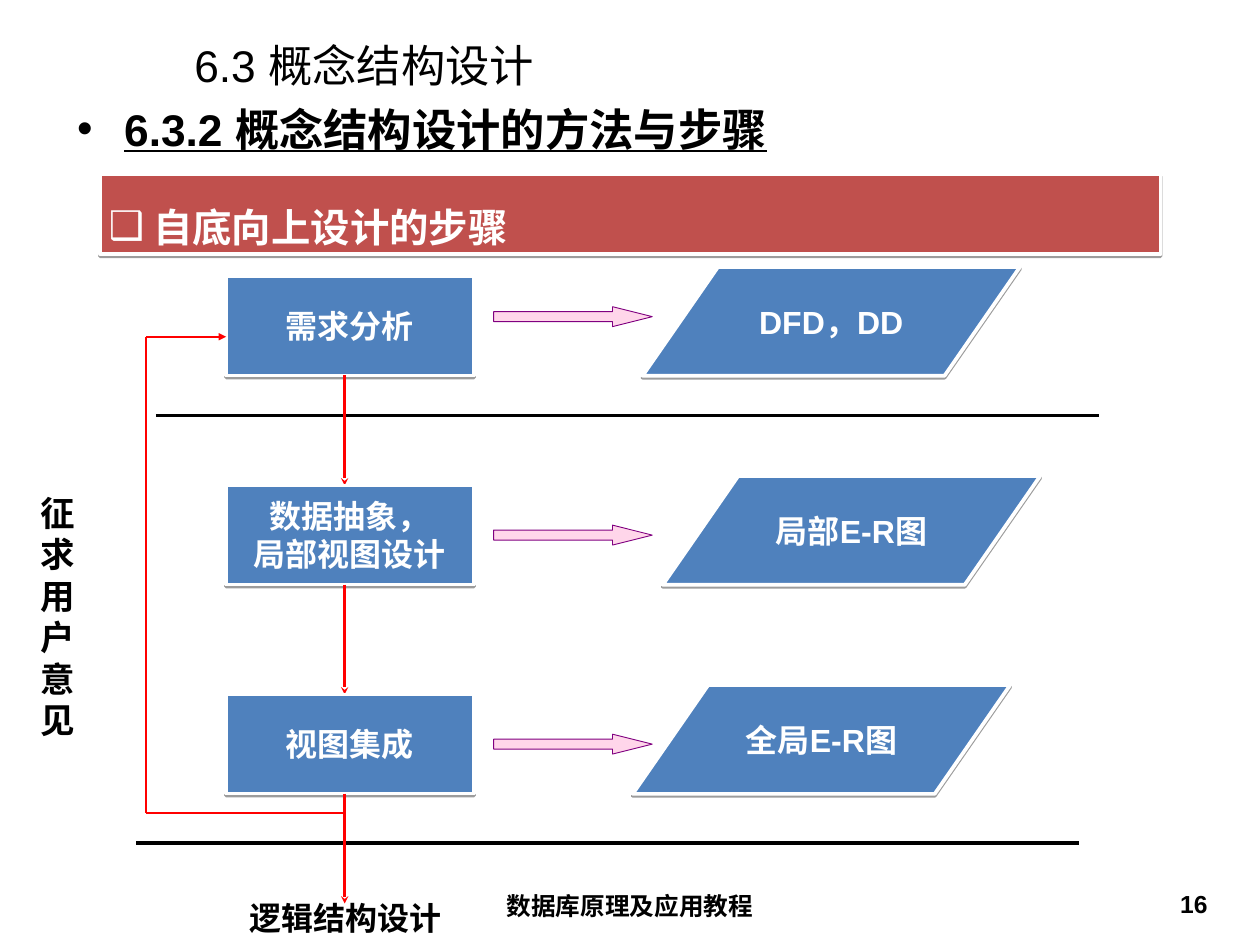
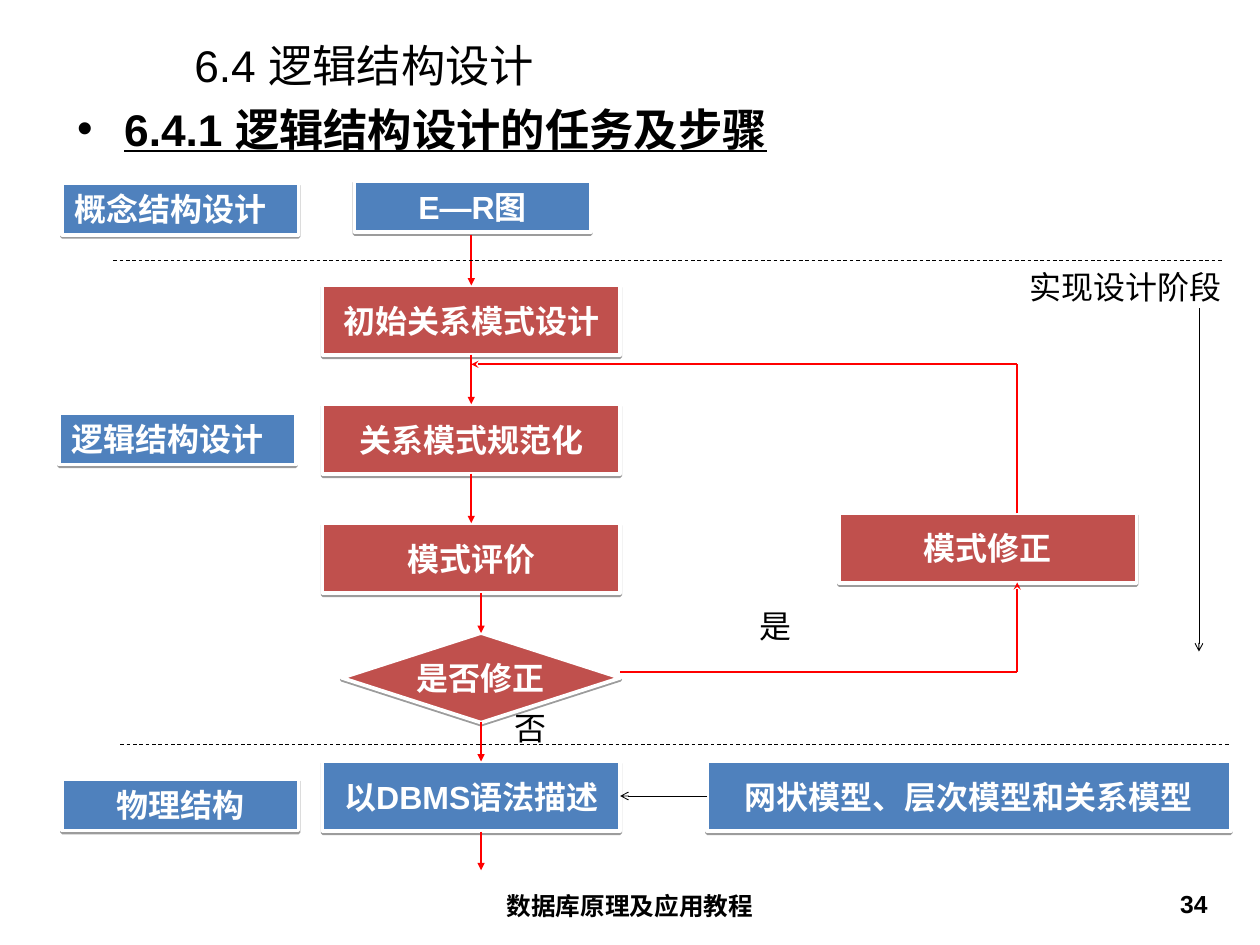
from dataclasses import dataclass

from lxml import etree
from pptx import Presentation
from pptx import util as u
from pptx.dml.color import RGBColor
from pptx.enum import dml, shapes, text
from pptx.oxml import ns

Cm, Pt = u.Cm, u.Pt
KIND = shapes.MSO_SHAPE
LEFT, MID, RIGHT = text.PP_ALIGN.LEFT, text.PP_ALIGN.CENTER, text.PP_ALIGN.RIGHT
TOP, CORE = text.MSO_ANCHOR.TOP, text.MSO_ANCHOR.MIDDLE


@dataclass(frozen=True)
class Theme:
    font: str = "Arial"
    ink: str = "000000"
    paper: str = "FFFFFF"
    blue: str = "4F81BD"
    brick: str = "C0504D"
    red: str = "FF0000"
    pink: str = "FF99CC"
    plum: str = "800080"
    head: int = 36
    band: int = 32
    side: int = 28
    node: int = 26
    foot: int = 20


T = Theme()
WIDE, TIGHT = (0.36, 0.18), (0.25, 0.13)

# Shared places, in centimetres: left, top, width, height
SIZE = (36.12, 27.08)
HEAD = (5.21, 1.14, 30.05, 1.45)
BODY = (1.85, 2.74, 32.51, 2.26)
FOOT = (12.34, 25.35, 11.43, 1.4)
PAGE = (26.44, 25.35, 8.43, 1.4)
BOOK = "数据库原理及应用教程"

# Slide 1: each step with its result, result left, arrow drop
STEPS = [
    ("需求分析", "DFD，DD", 18.42, 0.87),
    ("数据抽象，\n局部视图设计", "局部E-R图", 19.0, 1.14),
    ("视图集成", "全局E-R图", 18.14, 1.14),
]
RULES = [(3.91, 24.16), (4.47, 11.91)]

# Slide 2: the main column, with row number
FLOW = [
    ("初始关系模式设计", 0, T.brick),
    ("关系模式规范化", 1, T.brick),
    ("模式评价", 2, T.brick),
    ("以DBMS语法描述", 4, T.blue),
]
TAGS = [
    ("E—R图", 10.16, 5.18, MID),
    ("概念结构设计", 1.78, 5.26, LEFT),
    ("逻辑结构设计", 1.7, 11.84, LEFT),
    ("物理结构", 1.78, 22.33, MID),
]
NOTES = [("是", 21.41, 17.2), ("否", 14.38, 20.12)]


def rgb(code):
    return RGBColor.from_string(code)


def sub(node, tag, **attrs):
    return etree.SubElement(node, ns.qn(tag), attrs)


def put(obj, **values):
    for name, value in values.items():
        setattr(obj, name, value)


def write(shape, words, size, color=T.ink, bold=True, line=False, align=LEFT,
          anchor=TOP, pad=WIDE, wrap=True, grow=False, mark=None, space=1.0):
    """Fill a shape with formatted paragraphs; mark is (bullet, indent)."""
    frame = shape.text_frame
    frame.text = words
    fit = text.MSO_AUTO_SIZE
    put(frame, word_wrap=wrap, vertical_anchor=anchor,
        auto_size=fit.SHAPE_TO_FIT_TEXT if grow else fit.NONE,
        margin_left=Cm(pad[0]), margin_right=Cm(pad[0]),
        margin_top=Cm(pad[1]), margin_bottom=Cm(pad[1]))
    for para in frame.paragraphs:
        put(para, alignment=align, line_spacing=space, space_before=Pt(0))
        if mark:
            props = para._p.get_or_add_pPr()
            props.set("marL", str(Cm(mark[1])))
            props.set("indent", str(-Cm(mark[1])))
            sub(props, "a:buFont", typeface=T.font)
            sub(props, "a:buChar", char=mark[0])
        for run in para.runs:
            put(run.font, size=Pt(size), bold=bold, underline=line, name=T.font)
            run.font.color.rgb = rgb(color)
            sub(run._r.get_or_add_rPr(), "a:ea", typeface=T.font)


def label(slide, words, place, size, **style):
    box = slide.shapes.add_textbox(*map(Cm, place))
    write(box, words, size, **style)


def form(slide, kind, place, fill, edge, width):
    shape = slide.shapes.add_shape(kind, *map(Cm, place))
    shape.shadow.inherit = False
    shape.fill.solid()
    shape.fill.fore_color.rgb = rgb(fill)
    shape.line.color.rgb = rgb(edge)
    shape.line.width = Pt(width)
    return shape


def node(slide, words, place, fill=T.blue, kind=KIND.FLOWCHART_PROCESS,
         size=T.node, **style):
    """A white-edged box with a thin shadow below it."""
    shape = form(slide, kind, place, fill, T.paper, 3)
    cast = sub(shape._element.spPr.find(ns.qn("a:effectLst")), "a:outerShdw",
               blurRad="0", dist=str(Pt(1.6)), dir="5400000", rotWithShape="0")
    sub(sub(cast, "a:srgbClr", val=T.ink), "a:alpha", val="38000")
    base = dict(color=T.paper, align=MID, anchor=CORE, wrap=False)
    write(shape, words, size, **{**base, **style})


def link(slide, start, end, color=T.red, width=2, tip=None, dash=False):
    line = slide.shapes.add_connector(
        shapes.MSO_CONNECTOR.STRAIGHT, *map(Cm, start + end))
    line.line.color.rgb = rgb(color)
    line.line.width = Pt(width)
    if dash:
        line.line.dash_style = dml.MSO_LINE.DASH
    if tip:
        sub(line.line._get_or_add_ln(), "a:tailEnd", type=tip)
    sub(line._element.spPr, "a:effectLst")


def start(deck, title, topic, page):
    """Add a slide with the shared heading, topic line and footer."""
    slide = deck.slides.add_slide(deck.slide_layouts[1])
    head, body = slide.placeholders
    for shape, place in ((head, HEAD), (body, BODY)):
        put(shape, **dict(zip(("left", "top", "width", "height"), map(Cm, place))))
    write(head, title, T.head, bold=False, anchor=CORE)
    write(body, topic, T.head, line=True, mark=("•", 1.35))
    label(slide, BOOK, FOOT, T.foot, align=MID)
    label(slide, page, PAGE, T.foot, align=RIGHT, pad=TIGHT)
    return slide


def concept(deck):
    slide = start(deck, "6.3 概念结构设计", "6.3.2 概念结构设计的方法与步骤", "16")
    node(slide, "自底向上设计的步骤", (2.87, 5.0, 30.4, 2.29), T.brick, KIND.RECTANGLE,
         T.band, align=LEFT, anchor=TOP, pad=TIGHT, wrap=True,
         mark=("❑", 1.27), space=1.5)
    for left, y in RULES:
        link(slide, (left, y), (left + 27.03, y), T.ink, 3)

    # Steps, results and the arrows between them
    top, pitch, tall, axis = 7.92, 5.99, 2.84, 9.88
    for row, (step, result, left, drop) in enumerate(STEPS):
        y = top + row * pitch
        node(slide, step, (6.48, y, 7.11, tall))
        node(slide, result, (left, y - 0.27, 10.82, 3.12), kind=KIND.FLOWCHART_DATA)
        arrow = form(slide, KIND.RIGHT_ARROW, (14.15, y + drop, 4.55, 0.57),
                     T.pink, T.plum, 0.75)
        arrow.adjustments[1] = 2
        tint = arrow._element.spPr.find(ns.qn("a:solidFill"))[0]
        sub(tint, "a:alpha", val="40000")
        link(slide, (axis, y + tall), (axis, y + pitch), tip="stealth")

    # Feedback to the first step
    turn = [(axis, 23.29), (4.19, 23.29), (4.19, 9.65), (6.48, 9.65)]
    for a, b, tip in zip(turn, turn[1:], (None, None, "triangle")):
        link(slide, a, b, tip=tip)
    label(slide, "征求\n用户\n意见", (0.79, 13.92, 2.69, 3.94), T.side,
          wrap=False, grow=True)
    label(slide, "逻辑结构设计", (6.78, 25.58, 6.25, 1.47), T.node,
          wrap=False, grow=True)


def logic(deck):
    slide = start(deck, "6.4 逻辑结构设计", "6.4.1 逻辑结构设计的任务及步骤", "34")
    left, top, pitch, wide, tall = 9.25, 8.18, 3.41, 8.53, 2.0

    # Main column and side boxes
    for words, row, fill in FLOW:
        node(slide, words, (left, top + row * pitch, wide, tall), fill)
    node(slide, "是否修正", (9.8, 18.14, 7.98, 2.57), T.brick, KIND.FLOWCHART_DECISION)
    node(slide, "模式修正", (24.05, 14.71, wide, tall), T.brick)
    node(slide, "网状模型、层次模型和关系模型", (20.27, top + 4 * pitch, 15.01, tall))
    for words, x, y, align in TAGS:
        node(slide, words, (x, y, 6.78, 1.47), kind=KIND.RECTANGLE,
             align=align, anchor=TOP, wrap=True)

    # Downward arrows
    for x, spans in ((13.51, [(6.73, 8.18), (10.16, 11.58), (13.57, 14.99)]),
                     (13.79, [(16.99, 18.14), (20.68, 21.82), (23.83, 24.94)])):
        for a, b in spans:
            link(slide, (x, a), (x, b), width=1.5, tip="triangle")

    # Revision loop
    for a, b, width, tip in (
            ((17.78, 19.25), (29.16, 19.25), 2, None),
            ((29.16, 19.25), (29.16, 16.69), 1.5, "stealth"),
            ((29.16, 14.71), (29.16, 10.44), 2, None),
            ((29.16, 10.44), (13.51, 10.44), 1.5, "stealth")):
        link(slide, a, b, width=width, tip=tip)

    # Stage borders and thin arrows
    for x, y in ((3.45, 21.34), (3.25, 7.47)):
        link(slide, (x, y), (x + 31.81, y), T.ink, 0.75, dash=True)
    for a, b in (((20.27, 22.81), (17.78, 22.81)), ((34.37, 8.84), (34.37, 18.67))):
        link(slide, a, b, T.ink, 0.75, "arrow")
    for words, x, y in NOTES:
        label(slide, words, (x, y, 1.63, 1.47), T.node, bold=False,
              wrap=False, grow=True)
    label(slide, "实现设计阶段", (29.26, 7.54, 6.6, 1.37), T.node, bold=False, pad=TIGHT)


def main():
    deck = Presentation()
    deck.slide_width, deck.slide_height = map(Cm, SIZE)
    concept(deck)
    logic(deck)
    deck.save("out.pptx")


if __name__ == "__main__":
    main()
